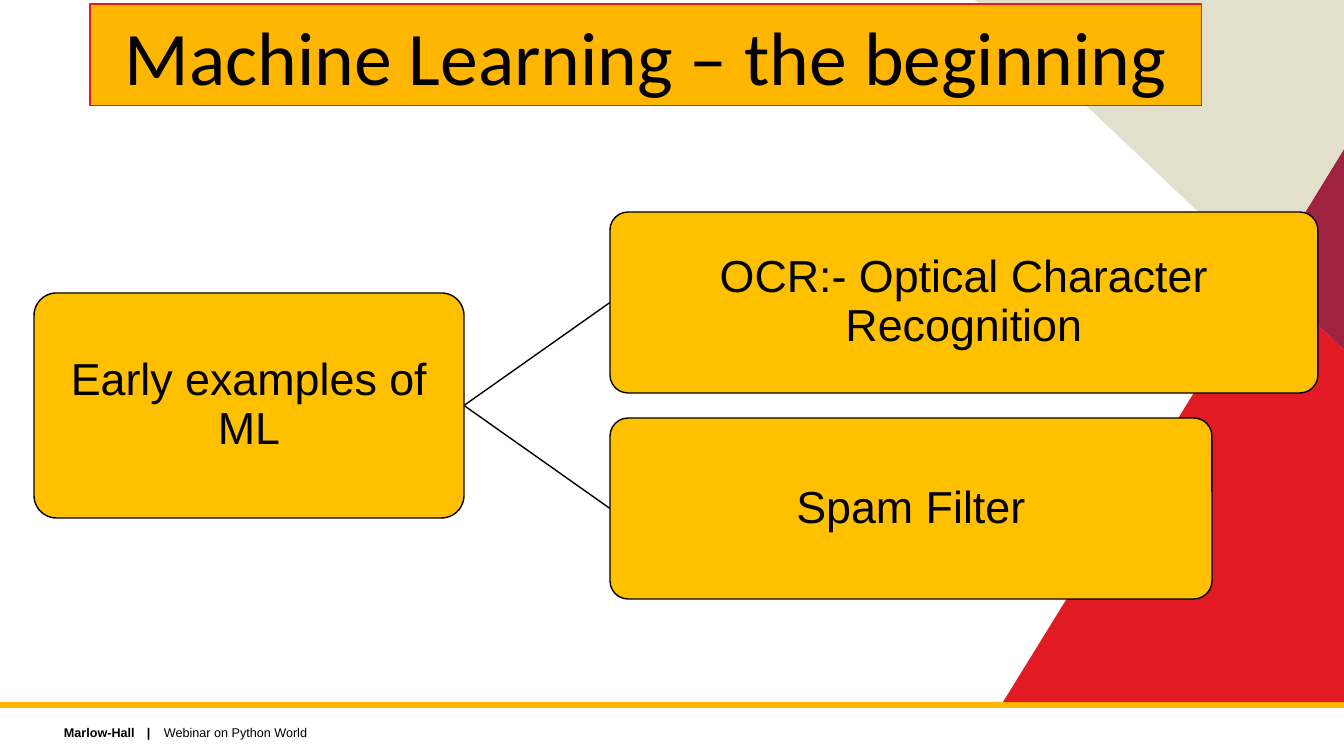
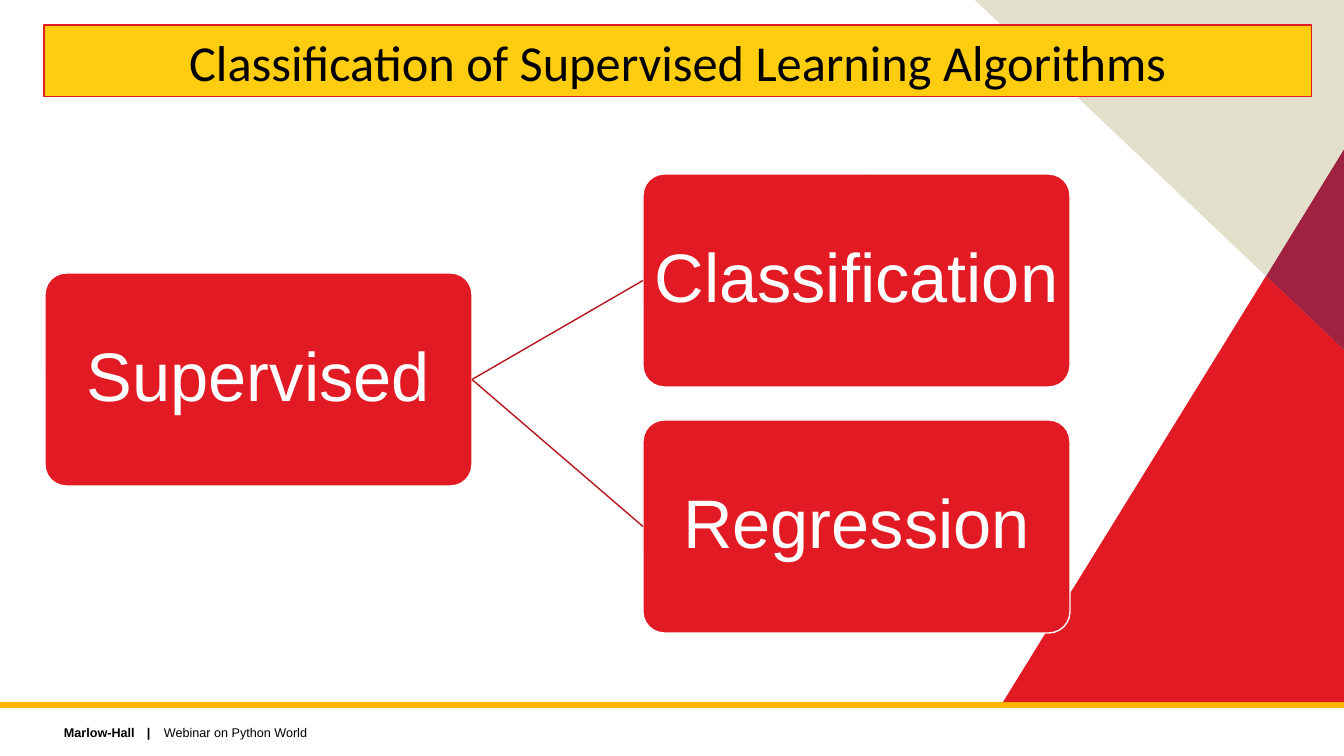
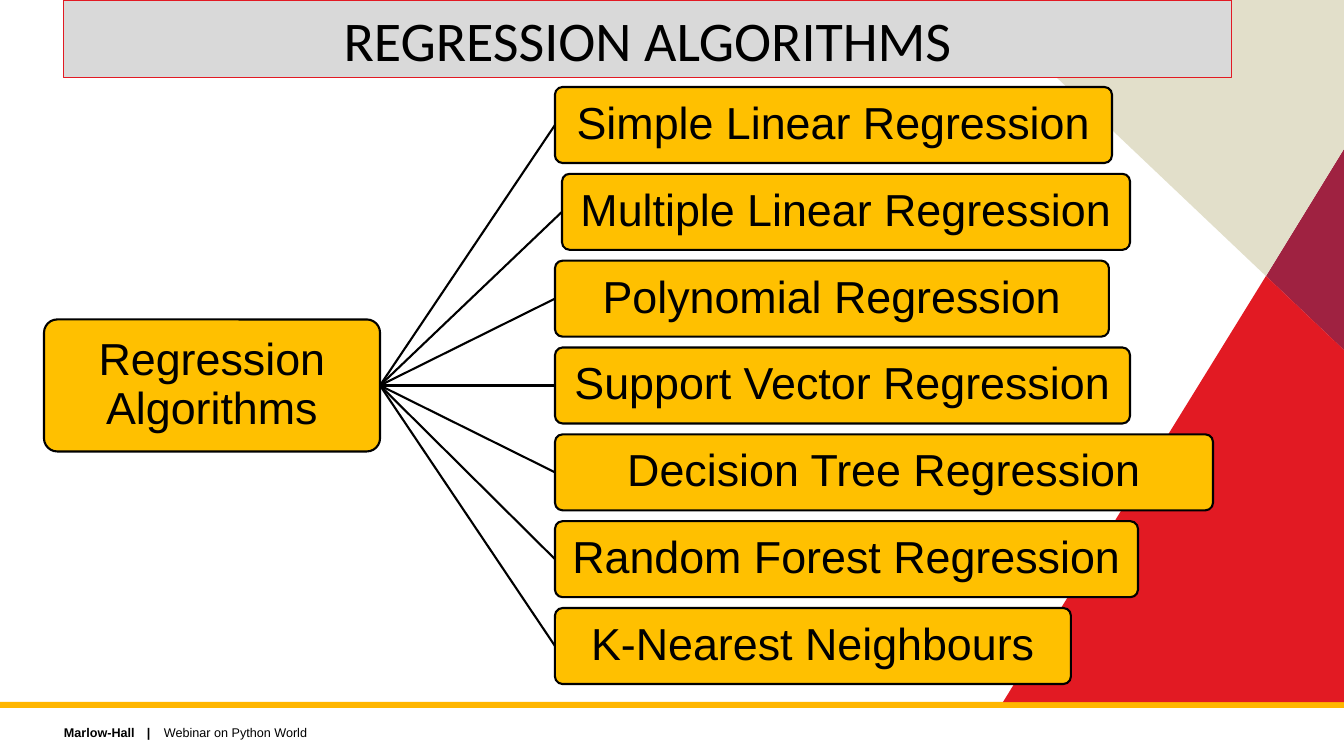
from lxml import etree
from pptx import Presentation
from pptx import util as u
from pptx.dml.color import RGBColor
from pptx.enum import shapes, text
from pptx.oxml.ns import qn

PX = u.Inches(1) / 100.8
PAGE_WIDTH, PAGE_HEIGHT = 1344, 756
BAND_TOP = 702

COLORS = {
    "black": "000000", "white": "FFFFFF", "gold": "FFC000", "amber": "FFB600",
    "yellow": "FFCD0F", "grey": "D9D9D9", "red": "E21A23", "dark red": "B5151C",
    "wine": "9F2241", "sand": "E2DFCA",
}
GOLD_STYLE = {"fill": "gold", "outline": "black", "ink": "black", "link": "black",
              "size": 32, "inset": 2}
RED_STYLE = {"fill": "red", "outline": "white", "ink": "white", "link": "dark red",
             "size": 49, "inset": 3}
FACETS = {
    "wine": [(1344, 149), (1344, 350), (1266, 276)],
    "sand": [(975, 0), (1344, 0), (1344, 149), (1266, 276)],
    "red": [(1344, 350), (1344, BAND_TOP), (1003, BAND_TOP), (1266, 276)],
}


def emu(*lengths):
    return [u.Emu(round(length * PX)) for length in lengths]


def rgb(name):
    return RGBColor.from_string(COLORS[name])


def paint(shape, fill, outline=None, weight=1):
    shape.fill.solid()
    shape.fill.fore_color.rgb = rgb(fill)
    if outline:
        shape.line.color.rgb = rgb(outline)
        shape.line.width = u.Pt(weight)
    else:
        shape.line.fill.background()


def add_span(para, words, size, color="black", font="Arial", bold=False):
    span = para.add_run()
    span.text = words
    span.font.name, span.font.size, span.font.bold = font, u.Pt(size), bold
    span.font.color.rgb = rgb(color)


def add_facets(page):
    facets = []
    for color, points in FACETS.items():
        outline = page.shapes.build_freeform(*points[0], scale=PX)
        outline.add_line_segments(points[1:], close=True)
        facet = outline.convert_to_shape()
        facet.shadow.inherit = False
        paint(facet, color)
        facets.append(facet)
    return facets


def add_band(page, box):
    band = page.shapes.add_shape(shapes.MSO_SHAPE.RECTANGLE, *emu(*box))
    band.shadow.inherit = False
    paint(band, "amber")
    return band


def add_footer(page, box):
    footer = page.shapes.add_textbox(*emu(*box))
    frame = footer.text_frame
    frame.word_wrap = True
    frame.vertical_anchor = text.MSO_ANCHOR.MIDDLE
    para = frame.paragraphs[0]
    stops = etree.SubElement(para._p.get_or_add_pPr(), qn("a:tabLst"))
    for stop in emu(83, 100):
        etree.SubElement(stops, qn("a:tab"), pos=str(stop), algn="l")
    add_span(para, "Marlow-Hall\t|", 9, bold=True)
    add_span(para, "\tWebinar on Python World", 9)
    return footer


def furnish_layout(layout, page):
    """Build the shared artwork on a page, then move it behind the layout."""
    artwork = [add_band(page, (0, BAND_TOP, PAGE_WIDTH, 6)), *add_facets(page),
               add_footer(page, (54, 720, 900, 25))]
    for index, shape in enumerate(artwork):
        element = shape._element
        element.nvSpPr.cNvPr.set("id", str(100 + index))
        layout.shapes._spTree.insert(2 + index, element)


def set_title(page, box, words, size, fill):
    title = page.shapes.title
    title.left, title.top, title.width, title.height = emu(*box)
    paint(title, fill, "red", 0.75)
    frame = title.text_frame
    frame.auto_size = text.MSO_AUTO_SIZE.NONE
    frame.vertical_anchor = text.MSO_ANCHOR.MIDDLE
    para = frame.paragraphs[0]
    para.alignment = text.PP_ALIGN.CENTER
    add_span(para, words, size, font="Calibri")


def add_node(page, box, words, style, weight):
    node = page.shapes.add_shape(shapes.MSO_SHAPE.ROUNDED_RECTANGLE, *emu(*box))
    node.adjustments[0] = 0.1
    node.shadow.inherit = False
    paint(node, style["fill"], style["outline"], weight)
    frame = node.text_frame
    frame.word_wrap = True
    frame.vertical_anchor = text.MSO_ANCHOR.MIDDLE
    inset, = emu(style["inset"])
    frame.margin_left = frame.margin_right = inset
    frame.margin_top = frame.margin_bottom = inset
    para = frame.paragraphs[0]
    para.alignment = text.PP_ALIGN.CENTER
    para.line_spacing = 0.9
    add_span(para, words, style["size"], style["ink"])
    return node


def link(page, root, branch, color, weight):
    line = page.shapes.add_connector(shapes.MSO_CONNECTOR.STRAIGHT, 0, 0, 0, 0)
    line.begin_connect(root, 3)
    line.end_connect(branch, 1)
    line.line.color.rgb = rgb(color)
    line.line.width = u.Pt(weight)
    etree.SubElement(line._element.spPr, qn("a:effectLst"))


def add_tree(page, box, root, branches, branch_left, branch_height, style,
             weight=1, lift=0):
    """Centre the root at the left of the box and spread branches over its height.

    root is (words, width, height); a branch is (words, width, indent).
    """
    left, top, height = box
    words, root_width, root_height = root
    root_top = top + (height - root_height) / 2 - lift
    root_node = add_node(page, (left, root_top, root_width, root_height),
                         words, style, weight)
    step = (height - branch_height) / (len(branches) - 1)
    for row, (words, width, indent) in enumerate(branches):
        place = (left + branch_left + indent, top + row * step, width, branch_height)
        branch = add_node(page, place, words, style, weight)
        link(page, root_node, branch, style["link"], weight)


def beginning_slide(page):
    set_title(page, (90, 4, 1112, 102), "Machine Learning – the beginning", 54, "amber")
    add_tree(page, (34, 212, 387), ("Early examples of ML", 430, 225),
             [("OCR:- Optical Character Recognition", 708, 0), ("Spam Filter", 602, 0)],
             576, 181, GOLD_STYLE)


def supervised_slide(page):
    set_title(page, (44, 25, 1268, 72),
              "Classification of Supervised Learning Algorithms", 36, "yellow")
    add_tree(page, (45, 174, 459), ("Supervised", 427, 213),
             [("Classification", 427, 0), ("Regression", 427, 0)],
             598, 213, RED_STYLE, lift=24)


def regression_slide(page):
    set_title(page, (63, 0, 1169, 78), "REGRESSION ALGORITHMS", 40, "grey")
    add_tree(page, (44, 87, 597), ("Regression Algorithms", 336, 132),
             [("Simple Linear Regression", 557, 0),
              ("Multiple Linear Regression", 568, 7),
              ("Polynomial Regression", 554, 0),
              ("Support Vector Regression", 575, 0),
              ("Decision Tree Regression", 658, 0),
              ("Random Forest Regression", 583, 0),
              ("K-Nearest Neighbours", 516, 0)],
             511, 76, GOLD_STYLE, weight=1.5)


def main():
    deck = Presentation()
    deck.slide_width, deck.slide_height = emu(PAGE_WIDTH, PAGE_HEIGHT)
    layout = deck.slide_layouts.get_by_name("Title Only")
    builders = [beginning_slide, supervised_slide, regression_slide]
    pages = [deck.slides.add_slide(layout) for _ in builders]
    furnish_layout(layout, pages[0])
    for build, page in zip(builders, pages):
        build(page)
    deck.save("out.pptx")


if __name__ == "__main__":
    main()
